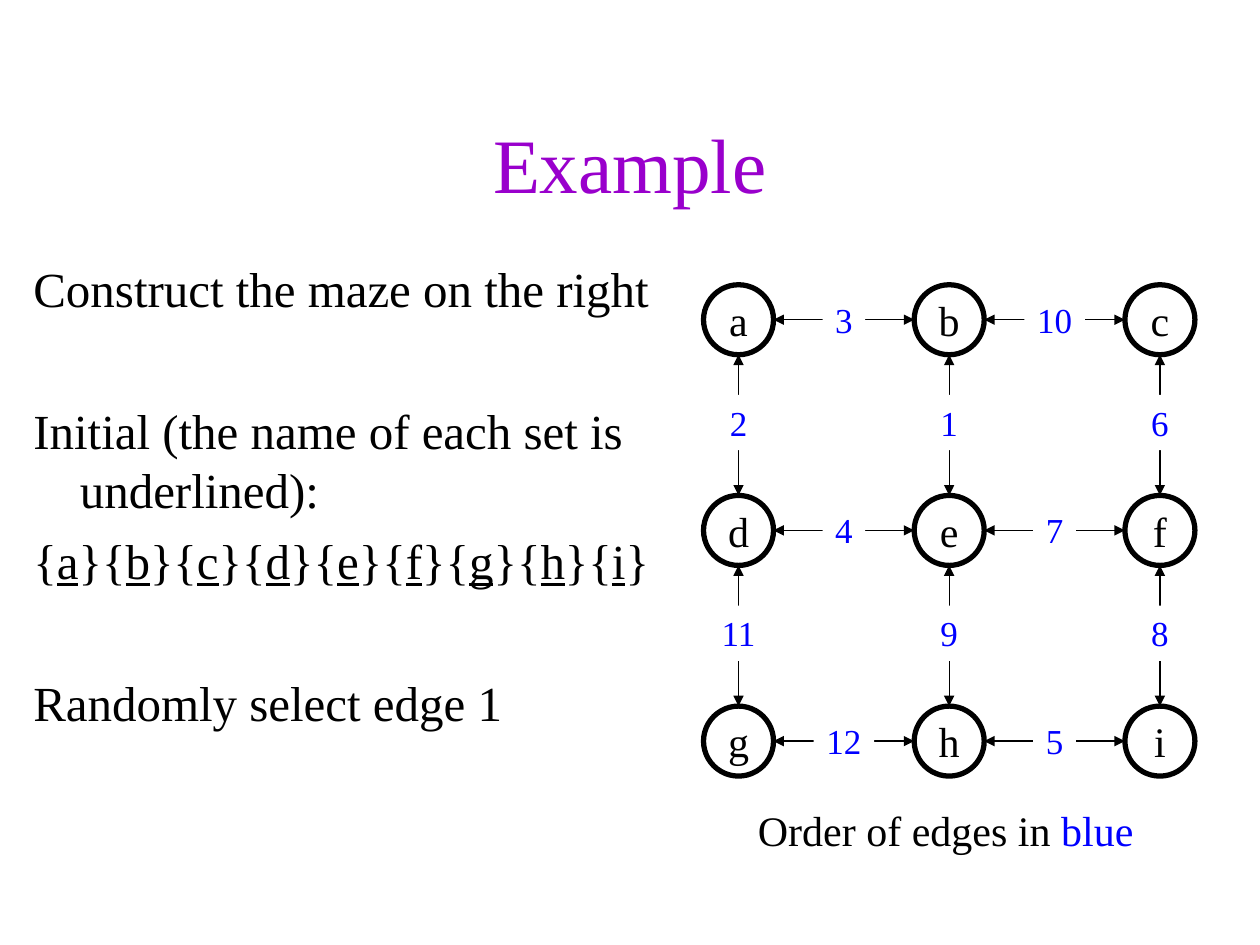
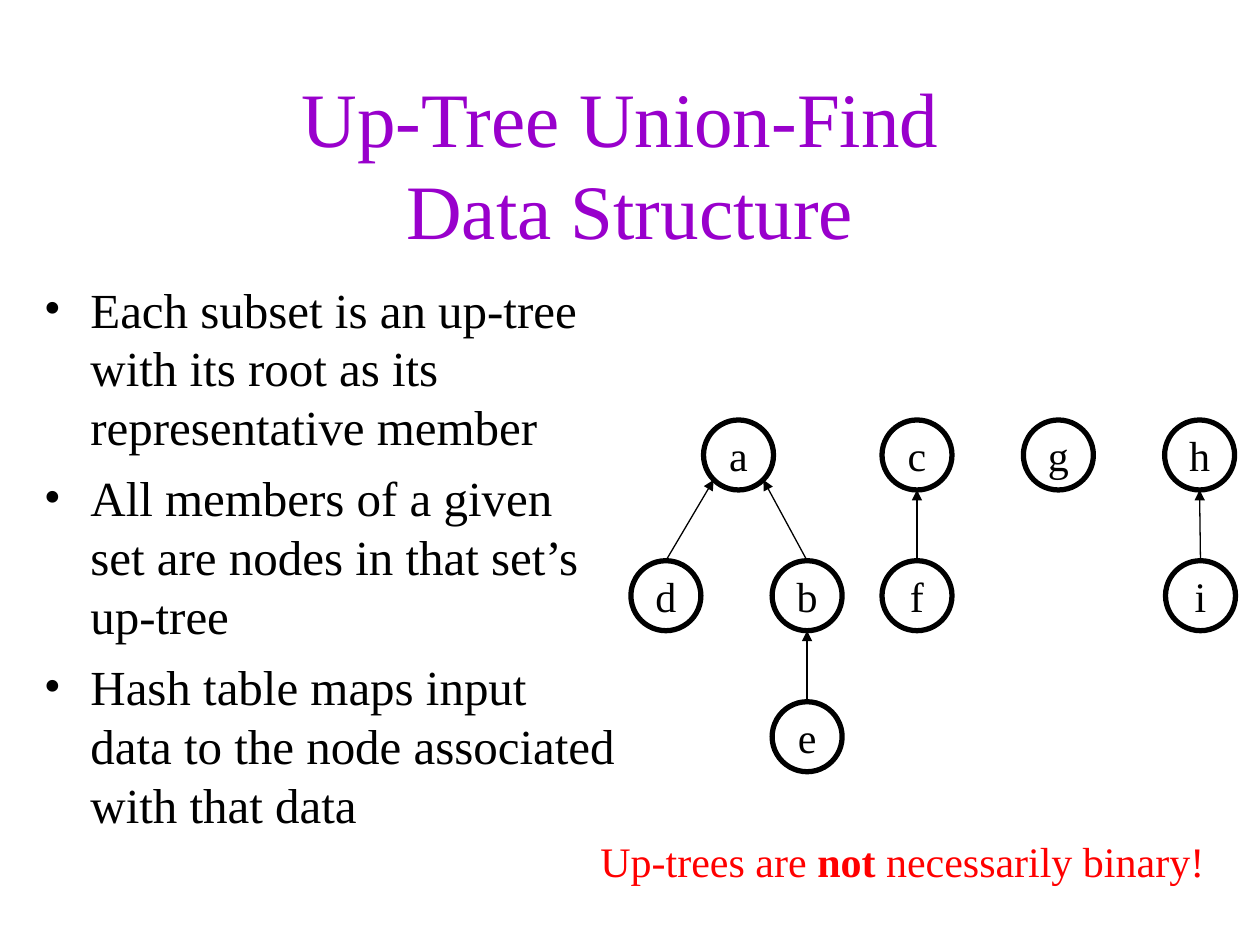
from lxml.etree import SubElement
from pptx import Presentation
from pptx.dml.color import RGBColor
from pptx.enum.shapes import MSO_CONNECTOR, MSO_SHAPE
from pptx.enum.text import MSO_ANCHOR, MSO_AUTO_SIZE, PP_ALIGN
from pptx.oxml.ns import qn
from pptx.util import Pt

FONT = "Times New Roman"
BLACK, WHITE, PURPLE, BLUE, RED = "000000", "FFFFFF", "9900CC", "0000FF", "FF0000"
NODE = 40
INDENT = 26.6


def rgb(color):
    """Turn a hex string into a colour."""
    return RGBColor.from_string(color)


def add_run(p, text, size, color=BLACK, bold=False, underline=False):
    """Append one formatted run to a paragraph."""
    r = p.add_run()
    r.text = text
    f = r.font
    f.name, f.size, f.bold, f.underline = FONT, Pt(size), bold, underline
    f.color.rgb = rgb(color)


def set_frame(tf, wrap, anchor=MSO_ANCHOR.TOP):
    """Give a text frame the shared insets, its wrapping and its anchor."""
    tf.auto_size = MSO_AUTO_SIZE.NONE
    tf.word_wrap = wrap
    tf.vertical_anchor = anchor
    tf.margin_left = tf.margin_right = Pt(7.2)
    tf.margin_top = tf.margin_bottom = Pt(3.6)


def add_slide(prs, *lines):
    """Add a title-only slide whose title has the given lines."""
    s = prs.slides.add_slide(prs.slide_layouts[5])
    title = s.shapes.title
    title.left, title.top, title.width, title.height = Pt(54), Pt(48), Pt(612), Pt(90)
    set_frame(title.text_frame, True, MSO_ANCHOR.MIDDLE)
    p = title.text_frame.paragraphs[0]
    p.alignment = PP_ALIGN.CENTER
    for i, line in enumerate(lines):
        if i:
            p.add_line_break()
        add_run(p, line, 44, PURPLE)
    return s


def add_body(s, box, paragraphs, bullet=False):
    """Add hanging paragraphs, each given as space before and its runs."""
    tf = s.shapes.add_textbox(*map(Pt, box)).text_frame
    set_frame(tf, True)
    for i, (space, runs) in enumerate(paragraphs):
        p = tf.add_paragraph() if i else tf.paragraphs[0]
        p.space_before = Pt(space)
        pPr = p._p.get_or_add_pPr()
        pPr.set("marL", str(Pt(INDENT)))
        pPr.set("indent", str(-Pt(INDENT)))
        if bullet:
            SubElement(pPr, qn("a:buFont"), typeface=FONT)
            SubElement(pPr, qn("a:buChar"), char="•")
        for text, style in runs:
            add_run(p, text, 28, **style)


def add_caption(s, box, runs):
    """Add a one-line caption from runs of text and style."""
    tf = s.shapes.add_textbox(*map(Pt, box)).text_frame
    set_frame(tf, False)
    for text, style in runs:
        add_run(tf.paragraphs[0], text, 24, **style)


def add_node(shapes, name, x, y):
    """Draw a circled letter with its top left corner at x, y."""
    sp = shapes.add_shape(MSO_SHAPE.OVAL, Pt(x), Pt(y), Pt(NODE), Pt(NODE))
    sp.shadow.inherit = False
    sp.fill.background()
    sp.line.color.rgb = rgb(BLACK)
    sp.line.width = Pt(3)
    set_frame(sp.text_frame, False, MSO_ANCHOR.MIDDLE)
    p = sp.text_frame.paragraphs[0]
    p.alignment = PP_ALIGN.CENTER
    add_run(p, name, 24)


def add_arrow(shapes, start, end, both=False):
    """Draw a thin arrow between two points, with one head or two."""
    c = shapes.add_connector(MSO_CONNECTOR.STRAIGHT, *map(Pt, (*start, *end)))
    c.line.color.rgb = rgb(BLACK)
    c.line.width = Pt(0.74)
    ln = c.line._get_or_add_ln()
    for tag in ("a:headEnd", "a:tailEnd") if both else ("a:tailEnd",):
        SubElement(ln, qn(tag), type="triangle")
    SubElement(c._element.spPr, qn("a:effectLst"))


def add_weight(shapes, number, cx, cy, width):
    """Put an edge number on a white box centred at cx, cy."""
    height = 31.6
    sp = shapes.add_shape(MSO_SHAPE.RECTANGLE, Pt(cx - width / 2), Pt(cy - height / 2),
                          Pt(width), Pt(height))
    sp.shadow.inherit = False
    sp.fill.solid()
    sp.fill.fore_color.rgb = rgb(WHITE)
    sp.line.fill.background()
    set_frame(sp.text_frame, False)
    p = sp.text_frame.paragraphs[0]
    p.alignment = PP_ALIGN.CENTER
    add_run(p, str(number), 20, BLUE)


def add_maze(s):
    """Draw the grid of nodes with numbered edges as one group."""
    shapes = s.shapes.add_group_shape().shapes
    left, top, step, half = 402, 162.7, 120.4, NODE / 2
    across = [(3, 10), (4, 7), (12, 5)]
    down = [(2, 1, 6), (11, 9, 8)]
    wide = {11: 54, 9: 64}
    weights = []
    for i, name in enumerate("abcdefghi"):
        row, col = divmod(i, 3)
        x, y = left + col * step, top + row * step
        cx, cy = x + half, y + half
        add_node(shapes, name, x, y)
        if col < 2:
            number = across[row][col]
            add_arrow(shapes, (x + NODE, cy), (x + step, cy), True)
            weights.append((number, cx + step / 2, cy, 34.6 if number > 9 else 24.4))
        if row < 2:
            number = down[row][col]
            add_arrow(shapes, (cx, y + NODE), (cx, y + step), True)
            weights.append((number, cx, cy + step / 2 - 1.4, wide.get(number, 32.4)))
    for weight in weights:
        add_weight(shapes, *weight)


def add_forest(s):
    """Draw the up-trees with an arrow from each child to its parent."""
    rows = [240, 320.4, 401]
    nodes = {"a": (402, 0), "c": (504, 0), "g": (584.8, 0), "h": (665.5, 0),
             "d": (360.5, 1), "b": (441.2, 1), "f": (504, 1), "i": (666, 1),
             "e": (441.2, 2)}
    half, diagonal = NODE / 2, NODE / 2 * 0.71
    for name, (x, row) in nodes.items():
        add_node(s.shapes, name, x, rows[row])
    for child, parent, side in [("d", "a", -1), ("b", "a", 1), ("e", "b", 0),
                                ("f", "c", 0), ("i", "h", 0)]:
        x, row = nodes[child]
        px, prow = nodes[parent]
        drop = diagonal if side else half
        add_arrow(s.shapes, (x + half, rows[row]),
                  (px + half + side * diagonal, rows[prow] + half + drop))


def main():
    """Build both slides and save the file."""
    prs = Presentation()
    prs.slide_width, prs.slide_height = Pt(720), Pt(540)

    s = add_slide(prs, "Example")
    sets = [("{", {})]
    for name in "abcdefghi":
        sets += [(name, {"underline": True}), ("}" if name == "i" else "}{", {})]
    add_body(s, (12, 144, 372, 324), [
        (7, [("Construct the maze on the right", {})]),
        (47.6, [("Initial (the name of each set is underlined):", {})]),
        (7, sets),
        (47.6, [("Randomly select edge 1", {})])])
    add_caption(s, (426, 456, 229, 36),
                [("Order of edges in ", {}), ("blue", {"color": BLUE})])
    add_maze(s)

    s = add_slide(prs, "Up-Tree Union-Find ", "Data Structure")
    points = ["Each subset is an up-tree with its root as its representative member",
              "All members of a given set are nodes in that set’s up-tree",
              "Hash table maps input data to the node associated with that data"]
    add_body(s, (18, 156, 342, 324), [(7, [(text, {})]) for text in points], bullet=True)
    add_forest(s)
    add_caption(s, (336, 474, 359, 36), [
        ("Up-trees are ", {"color": RED}), ("not", {"color": RED, "bold": True}),
        (" necessarily binary!", {"color": RED})])

    prs.save("out.pptx")


main()
